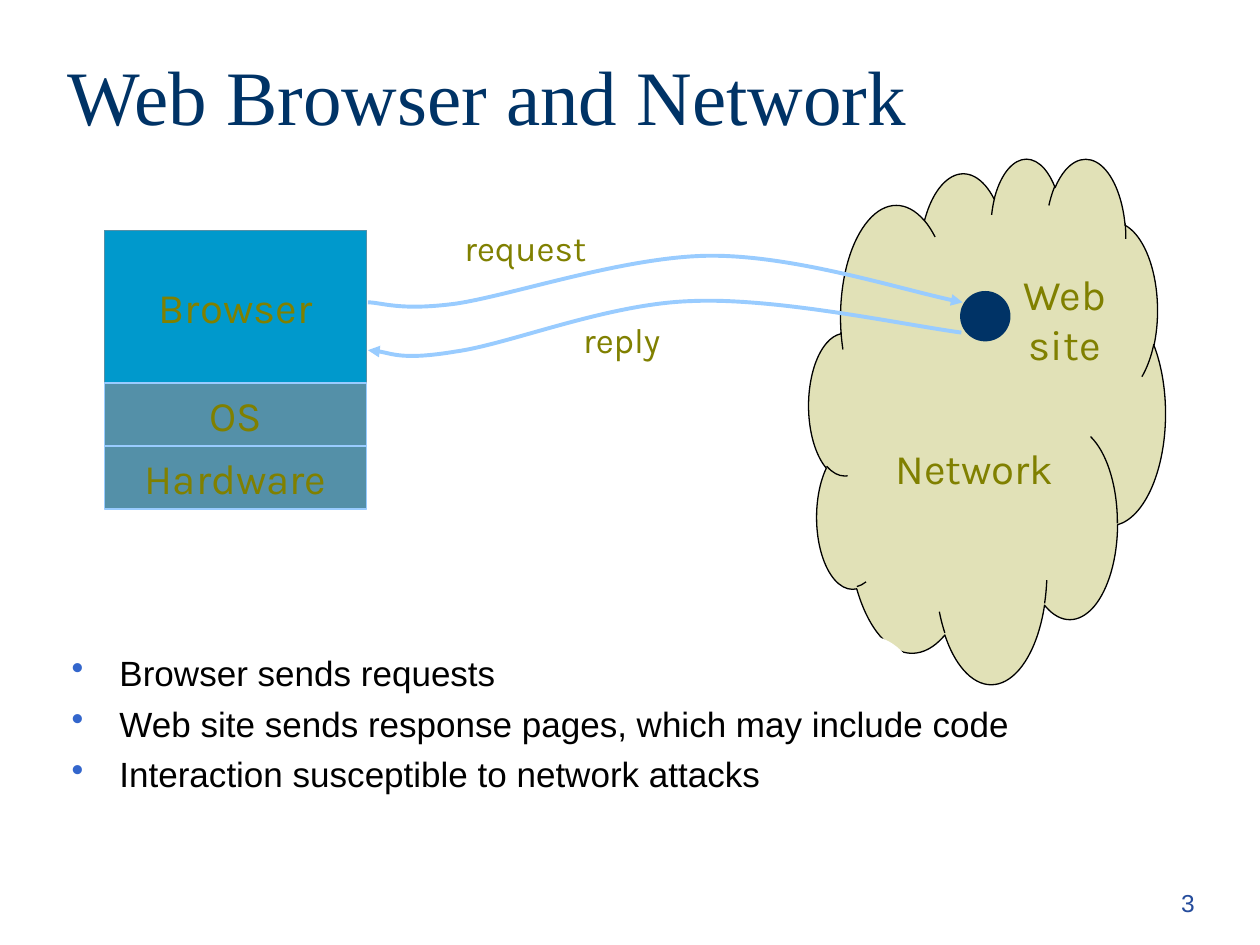
from dataclasses import dataclass

from lxml.etree import SubElement
from pptx import Presentation
from pptx.dml.color import RGBColor
from pptx.enum.shapes import MSO_SHAPE as Preset
from pptx.enum.text import MSO_ANCHOR as Anchor, PP_ALIGN as Align
from pptx.oxml.ns import qn
from pptx.util import Pt

EMU_PER_PX = 9144  # 100 px to the inch


def px(length: int) -> int:
    return length * EMU_PER_PX


@dataclass(frozen=True)
class Theme:
    navy: str = "003366"
    browser: str = "0099CC"
    steel: str = "5490A8"
    sky: str = "99CCFF"
    cloud: str = "E1E1B7"
    olive: str = "808000"
    bullet: str = "3366CC"
    page: str = "254C9C"
    black: str = "000000"
    white: str = "FFFFFF"
    title_font: str = "Times New Roman"
    body_font: str = "Arial"
    label_font: str = "Karla"
    title_size: int = 44
    label_size: int = 24
    small_size: int = 20
    page_size: int = 14
    thin: float = 0.75
    thick: float = 2.25


THEME = Theme()


@dataclass(frozen=True)
class Style:
    font: str = THEME.label_font
    size: int = THEME.label_size
    color: str = THEME.olive
    align: Align = Align.CENTER
    before: float = 6
    anchor: Anchor = Anchor.TOP
    wrap: bool = True
    bullet: bool = False


LABEL = Style(anchor=Anchor.MIDDLE, wrap=False)
SMALL = Style(size=THEME.small_size, before=5, wrap=False)
TITLE = Style(THEME.title_font, THEME.title_size, THEME.navy, Align.LEFT, 0, Anchor.MIDDLE)
BODY = Style(THEME.body_font, THEME.small_size, THEME.black, Align.LEFT, 5, bullet=True)
PAGE = Style(THEME.body_font, THEME.page_size, THEME.page, Align.RIGHT, 8.8)


@dataclass(frozen=True)
class Box:
    left: int
    top: int
    width: int
    height: int

    def emu(self) -> list[int]:
        return [px(n) for n in (self.left, self.top, self.width, self.height)]


@dataclass(frozen=True)
class Part:
    preset: Preset
    box: Box
    fill: str
    line: str = ""
    text: str = ""


@dataclass(frozen=True)
class Flow:
    points: list[tuple[int, int]]  # start, then three points for each curve
    arrow: str  # "headEnd" points at the start, "tailEnd" at the end


def rgb(color: str) -> RGBColor:
    return RGBColor.from_string(color)


def add_bullet(paragraph) -> None:
    props = paragraph._p.get_or_add_pPr()
    props.set("marL", str(px(38)))
    props.set("indent", str(px(-38)))
    SubElement(SubElement(props, qn("a:buClr")), qn("a:srgbClr"), val=THEME.bullet)
    SubElement(props, qn("a:buChar"), char="•")


def write(shape, lines: list[str], style: Style) -> None:
    frame = shape.text_frame
    frame.word_wrap = style.wrap
    frame.vertical_anchor = style.anchor
    for number, line in enumerate(lines):
        paragraph = frame.add_paragraph() if number else frame.paragraphs[0]
        paragraph.text = line
        paragraph.alignment = style.align
        paragraph.space_before = Pt(style.before)
        paragraph.font.name = style.font
        paragraph.font.size = Pt(style.size)
        paragraph.font.color.rgb = rgb(style.color)
        if style.bullet:
            add_bullet(paragraph)


def add_text(slide, box: Box, lines: list[str], style: Style) -> None:
    write(slide.shapes.add_textbox(*box.emu()), lines, style)


def add_part(slide, part: Part):
    shape = slide.shapes.add_shape(part.preset, *part.box.emu())
    shape.shadow.inherit = False
    shape.fill.solid()
    shape.fill.fore_color.rgb = rgb(part.fill)
    if part.line:
        shape.line.color.rgb = rgb(part.line)
        shape.line.width = Pt(THEME.thin)
    else:
        shape.line.fill.background()
    if part.text:
        write(shape, [part.text], LABEL)
    return shape


def add_flow(slide, flow: Flow) -> None:
    start, *rest = [(px(x), px(y)) for x, y in flow.points]
    builder = slide.shapes.build_freeform(*start)
    builder.add_line_segments(rest, close=False)
    curve = builder.convert_to_shape()
    curve.shadow.inherit = False
    curve.fill.background()
    curve.line.color.rgb = rgb(THEME.sky)
    curve.line.width = Pt(THEME.thick)
    SubElement(curve.line._ln, qn("a:" + flow.arrow), type="triangle")

    # Join every three line segments into one cubic curve
    outline = next(curve._element.iter(qn("a:path")))
    segments = outline.findall(qn("a:lnTo"))
    for first in range(0, len(segments), 3):
        cubic = SubElement(outline, qn("a:cubicBezTo"))
        for segment in segments[first:first + 3]:
            cubic.append(segment[0])
            outline.remove(segment)


def main() -> None:
    deck = Presentation()
    deck.slide_width, deck.slide_height = px(1000), px(750)
    slide = deck.slides.add_slide(deck.slide_layouts[6])

    add_text(slide, Box(44, 25, 881, 100), ["Web Browser and Network"], TITLE)

    # Browser and network cloud
    add_part(slide, Part(Preset.RECTANGLE, Box(83, 183, 208, 121),
                         THEME.browser, THEME.steel, "Browser"))
    network = add_part(slide, Part(Preset.CLOUD_CALLOUT, Box(642, 125, 283, 417),
                                   THEME.cloud, THEME.black, "Network"))
    network.adjustments[0], network.adjustments[1] = -0.44, 0.7
    network.text_frame.margin_top = px(100)
    add_part(slide, Part(Preset.OVAL, Box(641, 505, 98, 161), THEME.white))

    # Request, and the web site it reaches
    add_flow(slide, Flow([(292, 240), (303, 240), (317, 247), (362, 241), (408, 234),
                          (498, 203), (565, 203), (631, 203), (722, 232), (764, 240)],
                         "tailEnd"))
    add_part(slide, Part(Preset.OVAL, Box(762, 231, 40, 40), THEME.navy))

    add_text(slide, Box(47, 512, 894, 171), [
        "Browser sends requests",
        "Web site sends response pages, which may include code",
        "Interaction susceptible to network attacks",
    ], BODY)

    # Layers under the browser
    for row, layer in enumerate(["OS", "Hardware"]):
        add_part(slide, Part(Preset.RECTANGLE, Box(83, 304 + 50 * row, 208, 50),
                             THEME.steel, THEME.sky, layer))

    # Reply and the labels
    add_text(slide, Box(792, 208, 106, 90), ["Web site"], Style())
    add_flow(slide, Flow([(292, 278), (303, 278), (320, 286), (362, 279), (405, 273),
                          (482, 241), (549, 239), (616, 236), (718, 258), (763, 264)],
                         "headEnd"))
    add_text(slide, Box(357, 175, 120, 44), ["request"], SMALL)
    add_text(slide, Box(451, 248, 85, 44), ["reply"], SMALL)

    add_text(slide, Box(750, 700, 208, 50), ["3"], PAGE)

    deck.save("out.pptx")


if __name__ == "__main__":
    main()
